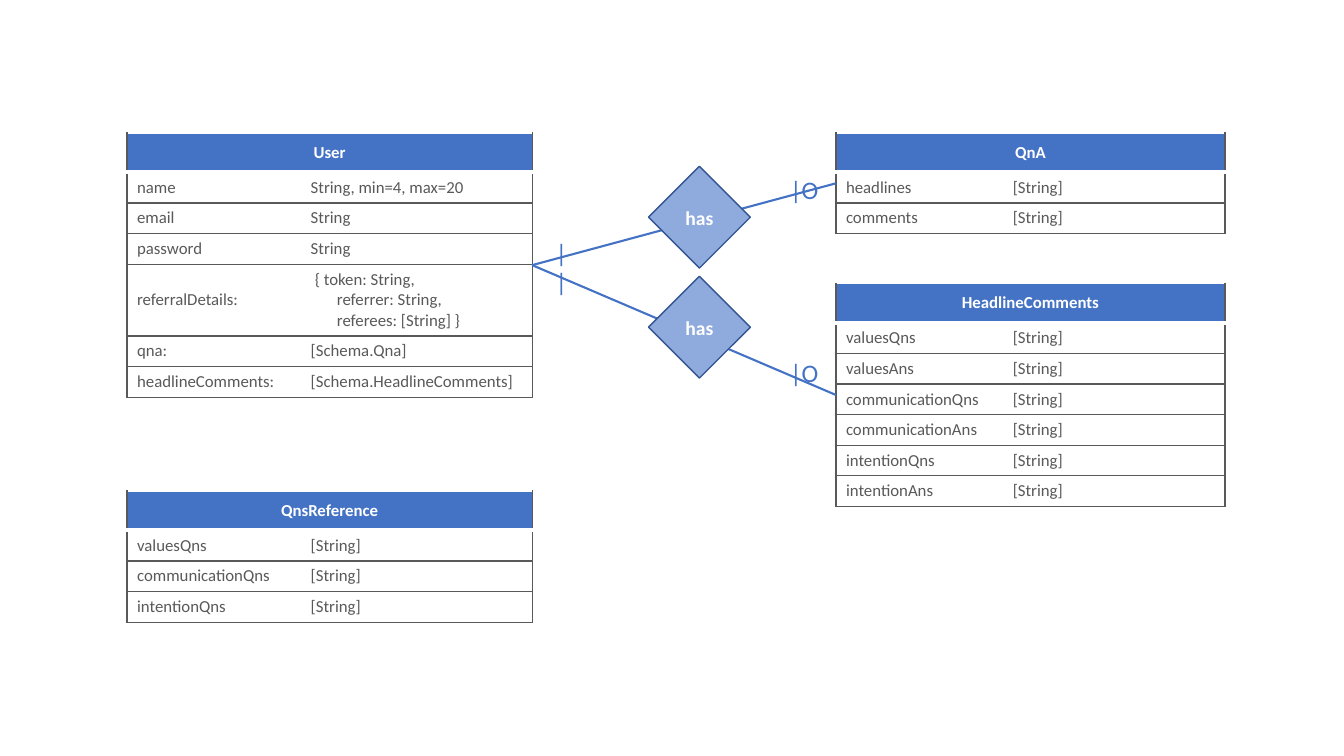
from itertools import zip_longest

from pptx import Presentation
from pptx.dml.color import RGBColor
from pptx.enum.shapes import MSO_CONNECTOR as Connector, MSO_SHAPE as Shape
from pptx.enum.text import MSO_ANCHOR as Anchor, PP_ALIGN as Align
from pptx.oxml import parse_xml
from pptx.oxml.ns import nsdecls
from pptx.util import Inches, Pt

WIDTH, HEIGHT = 13.33, 7.5
BLUE, GREY, WHITE = "4472C4", "595959", "FFFFFF"
PALE_BLUE, DARK_BLUE = "8FAADC", "325491"
HEADER_ROWS, FIELD_ROWS, DETAIL_ROWS = 5.2, 4.05, 9.5
NAME_SHARE = 3 / 7
DIAMOND_SIZE = 1.01
LIST = "[String]"
DETAILS = "{ token: String,\nreferrer: String,\nreferees: [String] }"
DETAIL_INDENTS = (0.04, 0.26, 0.26)

USER_FIELDS = [
    ("name", "String, min=4, max=20"),
    ("email", "String"),
    ("password", "String"),
    ("referralDetails:", DETAILS),
    ("qna:", "[Schema.Qna]"),
    ("headlineComments:", "[Schema.HeadlineComments]"),
]
REFERENCE_FIELDS = [(name, LIST) for name in ("valuesQns", "communicationQns", "intentionQns")]
QNA_FIELDS = [(name, LIST) for name in ("headlines", "comments")]
COMMENT_FIELDS = [
    (topic + suffix, LIST)
    for topic in ("values", "communication", "intention")
    for suffix in ("Qns", "Ans")
]


def columns(count):
    return Inches(WIDTH * count / 100)


def rows(count):
    return Inches(HEIGHT * count / 100)


def color(value):
    return RGBColor.from_string(value)


def write_text(frame, text, *, size=12, ink=GREY, bold=False, align=Align.LEFT, indents=()):
    for index, (line, indent) in enumerate(zip_longest(text.split("\n"), indents)):
        para = frame.add_paragraph() if index else frame.paragraphs[0]
        para.alignment = align
        if indent:
            para._p.get_or_add_pPr().set("marL", str(Inches(indent)))
        span = para.add_run()
        span.text = line
        span.font.name = "Calibri"
        span.font.size = Pt(size)
        span.font.bold = bold
        span.font.color.rgb = color(ink)


def set_borders(cell, **edges):
    properties = cell._tc.get_or_add_tcPr()
    for index, side in enumerate("LRTB"):
        ink, width = edges[side]
        properties.insert(index, parse_xml(
            f'<a:ln{side} {nsdecls("a")} w="{Pt(width)}"><a:solidFill>'
            f'<a:srgbClr val="{ink}"/></a:solidFill></a:ln{side}>'
        ))


def add_entity(slide, title, fields, left, top, width):
    heights = [HEADER_ROWS] + [
        DETAIL_ROWS if value == DETAILS else FIELD_ROWS for _, value in fields
    ]
    box = slide.shapes.add_table(
        len(heights), 2, columns(left), rows(top), columns(width), rows(sum(heights))
    )
    table = box.table
    table.first_row = table.horz_banding = False
    table.columns[0].width = columns(width * NAME_SHARE)
    table.columns[1].width = columns(width * (1 - NAME_SHARE))
    for row, height in zip(table.rows, heights):
        row.height = rows(height)

    header = table.cell(0, 0)
    header.merge(table.cell(0, 1))
    write_text(header.text_frame, title, ink=WHITE, bold=True, align=Align.CENTER)
    for cell in table.rows[0].cells:
        cell.vertical_anchor = Anchor.MIDDLE
        cell.fill.solid()
        cell.fill.fore_color.rgb = color(BLUE)
        set_borders(cell, L=(GREY, 1), R=(GREY, 1), T=(WHITE, 1), B=(WHITE, 3))

    for row, field in enumerate(fields, 1):
        for column, text in enumerate(field):
            cell = table.cell(row, column)
            cell.vertical_anchor = Anchor.MIDDLE
            cell.fill.background()
            write_text(cell.text_frame, text, indents=DETAIL_INDENTS if text == DETAILS else ())
            set_borders(
                cell,
                L=(WHITE if column else GREY, 1),
                R=(GREY if column else WHITE, 1),
                T=(WHITE if row == 1 else GREY, 1),
                B=(GREY, 1),
            )
    return box


def add_link(slide, source, target):
    line = slide.shapes.add_connector(
        Connector.STRAIGHT,
        source.left + source.width, source.top + source.height // 2,
        target.left, target.top + target.height // 2,
    )
    line.line.color.rgb = color(BLUE)
    line.line.width = Pt(1.5)
    line._element.spPr.append(parse_xml(f'<a:effectLst {nsdecls("a")}/>'))


def add_mark(slide, text, left, top):
    box = slide.shapes.add_textbox(columns(left), rows(top), columns(4.13), rows(5.39))
    box.text_frame.word_wrap = True
    write_text(box.text_frame, text, size=18, ink=BLUE)


def add_relation(slide, text, left, top):
    size = Inches(DIAMOND_SIZE)
    diamond = slide.shapes.add_shape(Shape.DIAMOND, columns(left), rows(top), size, size)
    diamond.shadow.inherit = False
    diamond.fill.solid()
    diamond.fill.fore_color.rgb = color(PALE_BLUE)
    diamond.line.color.rgb = color(DARK_BLUE)
    diamond.line.width = Pt(1)
    diamond.text_frame.vertical_anchor = Anchor.MIDDLE
    write_text(diamond.text_frame, text, size=14, ink=WHITE, bold=True, align=Align.CENTER)


def main():
    deck = Presentation()
    deck.slide_width, deck.slide_height = Inches(WIDTH), Inches(HEIGHT)
    slide = deck.slides.add_slide(deck.slide_layouts[6])

    user = add_entity(slide, "User", USER_FIELDS, 9.45, 17.6, 30.15)
    add_entity(slide, "QnsReference", REFERENCE_FIELDS, 9.45, 64.95, 30.15)
    qna = add_entity(slide, "QnA", QNA_FIELDS, 62.2, 17.6, 28.95)
    comments = add_entity(slide, "HeadlineComments", COMMENT_FIELDS, 62.2, 37.5, 28.95)

    for target in (qna, comments):
        add_link(slide, user, target)
    for source_top, target_top, relation_top in ((30.8, 22.4, 22), (34.55, 46.55, 36.55)):
        add_mark(slide, "|", 40.6, source_top)
        add_mark(slide, "|O", 58.05, target_top)
        add_relation(slide, "has", 48.25, relation_top)

    deck.save("out.pptx")


main()
